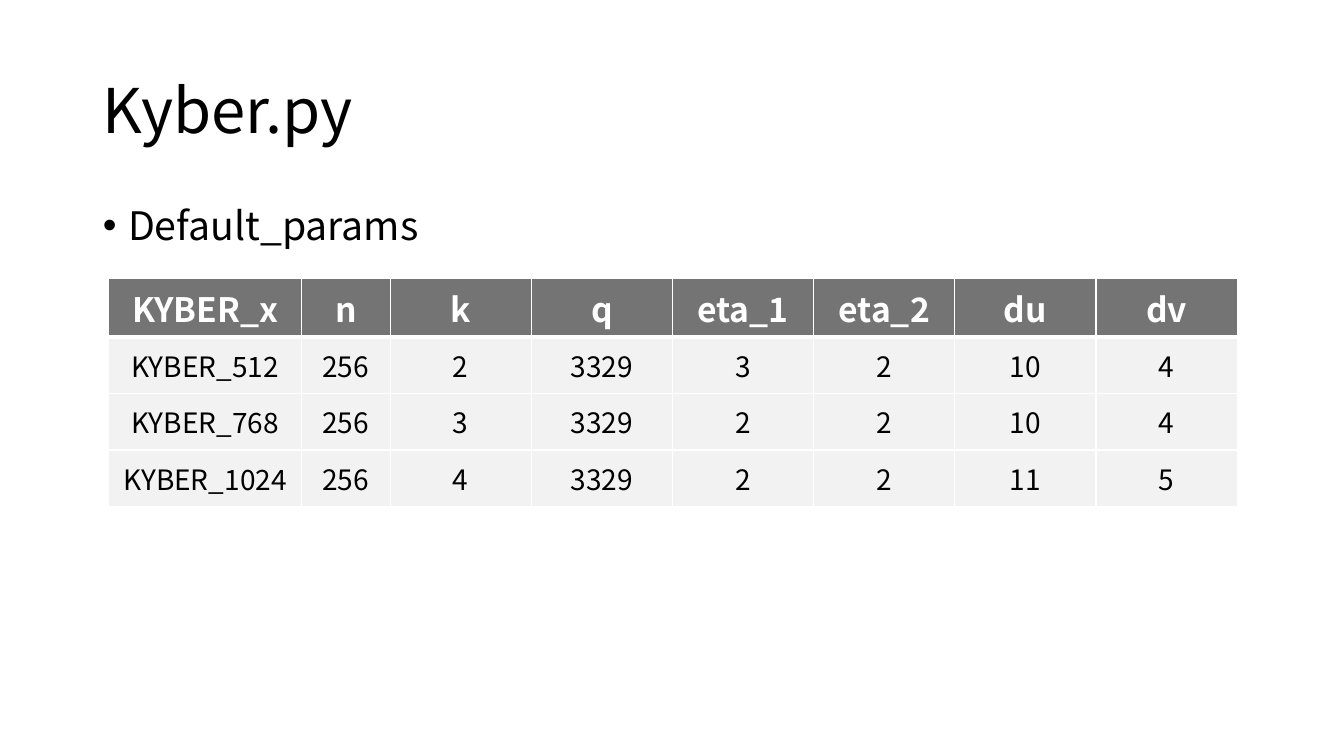
from lxml import etree
from pptx import Presentation
from pptx.dml.color import RGBColor
from pptx.enum.text import MSO_ANCHOR, MSO_AUTO_SIZE, PP_ALIGN
from pptx.oxml.ns import qn
from pptx.util import Inches, Pt

LEFT, CENTER = PP_ALIGN.LEFT, PP_ALIGN.CENTER
TOP, MIDDLE = MSO_ANCHOR.TOP, MSO_ANCHOR.MIDDLE
NO_AUTOFIT = MSO_AUTO_SIZE.NONE

BLACK = RGBColor(0x00, 0x00, 0x00)
WHITE = RGBColor(0xFF, 0xFF, 0xFF)
HEADER_GRAY = RGBColor(0x74, 0x74, 0x74)
ROW_GRAY = RGBColor(0xF2, 0xF2, 0xF2)

TITLE_AND_CONTENT = 1
COLUMN_WIDTHS = [1.91, 0.88] + [1.4] * 6
ROW_HEIGHT = 0.56
PARAMETERS = [
    ["KYBER_x", "n", "k", "q", "eta_1", "eta_2", "du", "dv"],
    ["KYBER_512", "256", "2", "3329", "3", "2", "10", "4"],
    ["KYBER_768", "256", "3", "3329", "2", "2", "10", "4"],
    ["KYBER_1024", "256", "4", "3329", "2", "2", "11", "5"],
]


class SlideBuilder:
    font_name = "Noto Sans CJK KR"

    def __init__(self, deck):
        self.page = deck.slides.add_slide(deck.slide_layouts[TITLE_AND_CONTENT])

    def format_paragraph(self, paragraph, size, color, align=LEFT, bold=False):
        paragraph.alignment = align
        for span in paragraph.runs:
            span.font.name = self.font_name
            span.font.size = Pt(size)
            span.font.bold = bold
            span.font.color.rgb = color

    def fill_placeholder(self, box, text, bounds, size, anchor):
        """Move a placeholder, set its text and return its paragraph."""
        box.left, box.top, box.width, box.height = map(Inches, bounds)
        frame = box.text_frame
        frame.text = text
        frame.auto_size = NO_AUTOFIT
        frame.vertical_anchor = anchor
        paragraph = frame.paragraphs[0]
        paragraph.line_spacing = 0.9
        self.format_paragraph(paragraph, size, BLACK)
        return paragraph

    def title(self, text):
        self.fill_placeholder(
            self.page.shapes.title, text, (0.92, 0.4, 11.5, 1.45), 44, MIDDLE)

    def bullet(self, text):
        paragraph = self.fill_placeholder(
            self.page.placeholders[1], text, (0.92, 2, 11.5, 4.76), 28, TOP)
        paragraph.space_before = Pt(10)
        properties = paragraph._p.get_or_add_pPr()
        properties.set("marL", str(Inches(0.25)))
        properties.set("indent", str(Inches(-0.25)))

    def cell_borders(self, cell, widths):
        """Draw white borders; widths maps a side (L, R, T, B) to points."""
        properties = cell._tc.get_or_add_tcPr()
        for side, width in widths.items():
            line = etree.SubElement(properties, qn(f"a:ln{side}"), w=str(Pt(width)))
            fill = etree.SubElement(line, qn("a:solidFill"))
            etree.SubElement(fill, qn("a:srgbClr"), val=str(WHITE))

    def table(self, rows, left, top):
        frame = self.page.shapes.add_table(
            len(rows), len(COLUMN_WIDTHS), Inches(left), Inches(top),
            Inches(sum(COLUMN_WIDTHS)), Inches(ROW_HEIGHT * len(rows)))
        table = frame.table
        for column, width in zip(table.columns, COLUMN_WIDTHS):
            column.width = Inches(width)
        for row_index, values in enumerate(rows):
            table.rows[row_index].height = Inches(ROW_HEIGHT)
            header = row_index == 0
            widths = {"L": 1, "R": 1,
                      "T": 3 if row_index == 1 else 1,
                      "B": 3 if header else 1}
            for column_index, value in enumerate(values):
                cell = table.cell(row_index, column_index)
                cell.text_frame.text = value
                cell.vertical_anchor = MIDDLE
                self.cell_borders(cell, widths)
                cell.fill.solid()
                cell.fill.fore_color.rgb = HEADER_GRAY if header else ROW_GRAY
                self.format_paragraph(
                    cell.text_frame.paragraphs[0], 24 if header else 20,
                    WHITE if header else BLACK, CENTER, header)


def main():
    deck = Presentation()
    deck.slide_width = Inches(13.33)
    deck.slide_height = Inches(7.5)
    builder = SlideBuilder(deck)
    builder.title("Kyber.py")
    builder.bullet("Default_params")
    builder.table(PARAMETERS, 1.08, 2.76)
    deck.save("out.pptx")


if __name__ == "__main__":
    main()
